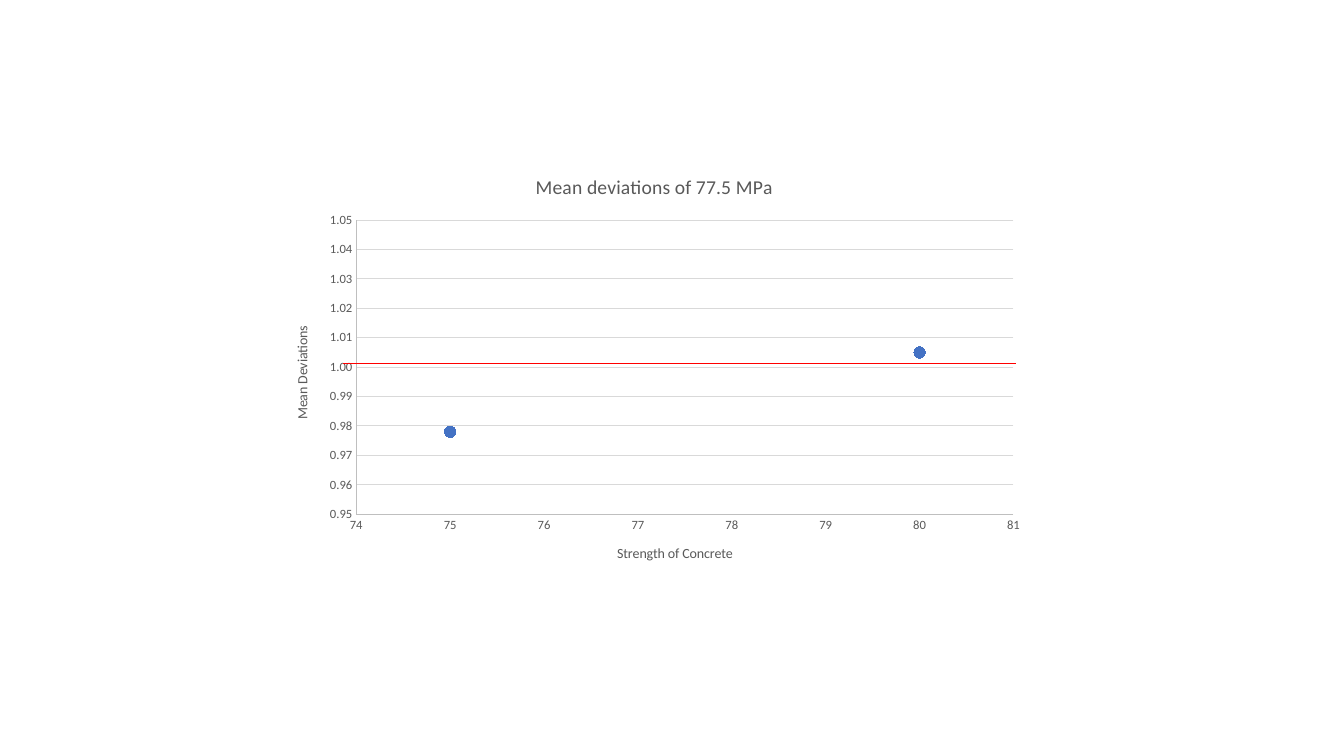
from lxml import etree
from pptx import Presentation
from pptx.chart.data import XyChartData
from pptx.dml.color import RGBColor
from pptx.enum.chart import XL_CHART_TYPE, XL_MARKER_STYLE, XL_TICK_MARK
from pptx.enum.shapes import MSO_CONNECTOR
from pptx.oxml import parse_xml
from pptx.oxml.ns import nsdecls, qn
from pptx.util import Inches, Pt

TEXT_GREY = RGBColor(0x59, 0x59, 0x59)
AXIS_GREY = RGBColor(0xBF, 0xBF, 0xBF)
GRID_GREY = RGBColor(0xD9, 0xD9, 0xD9)
POINT_BLUE = RGBColor(0x44, 0x72, 0xC4)
MEAN_RED = RGBColor(0xFF, 0x00, 0x00)
FONT = "Calibri"
POINTS = [(75, 0.978), (80, 1.005)]


def style_font(font, size):
    """Set the shared chart font at the given size."""
    font.name = FONT
    font.size = Pt(size)
    font.bold = False
    font.color.rgb = TEXT_GREY


def style_line(line, color, width):
    """Give a line its colour and width in points."""
    line.color.rgb = color
    line.width = Pt(width)


def set_title(owner, text, size):
    """Title a chart or an axis."""
    frame = (owner.chart_title if hasattr(owner, "chart_title")
             else owner.axis_title).text_frame
    frame.text = text
    style_font(frame.paragraphs[0].runs[0].font, size)


def style_axis(axis, title, low, high, step, number_format):
    """Set an axis' scale, labels, line and title."""
    axis.minimum_scale, axis.maximum_scale = low, high
    axis.major_unit = step
    axis.major_tick_mark = axis.minor_tick_mark = XL_TICK_MARK.NONE
    axis.tick_labels.number_format = number_format
    axis.tick_labels.number_format_is_linked = False
    style_font(axis.tick_labels.font, 9)
    style_line(axis.format.line, AXIS_GREY, 0.75)
    set_title(axis, title, 10)


def place_plot(chart, x, y, w, h):
    """Fix the inner plot area as fractions of the chart."""
    plot_area = chart.plots[0]._element.getparent()
    for layout in plot_area.findall(qn("c:layout")):
        plot_area.remove(layout)
    plot_area.insert(0, parse_xml(
        f'<c:layout {nsdecls("c")}><c:manualLayout>'
        '<c:layoutTarget val="inner"/><c:xMode val="edge"/><c:yMode val="edge"/>'
        f'<c:x val="{x}"/><c:y val="{y}"/><c:w val="{w}"/><c:h val="{h}"/>'
        '</c:manualLayout></c:layout>'))


def add_deviation_chart(slide):
    """Add the scatter chart of mean deviation against strength."""
    data = XyChartData()
    series_data = data.add_series("Series 1")
    for strength, deviation in POINTS:
        series_data.add_data_point(strength, deviation)
    chart = slide.shapes.add_chart(
        XL_CHART_TYPE.XY_SCATTER, Inches(2.7), Inches(1.55),
        Inches(7.58), Inches(4.23), data).chart
    style_font(chart.font, 10)
    chart.has_legend = False
    set_title(chart, "Mean deviations of 77.5 MPa", 14)
    chart.chart_title.include_in_layout = False

    style_axis(chart.category_axis, "Strength of Concrete", 74, 81, 1, "General")
    style_axis(chart.value_axis, "Mean Deviations", 0.95, 1.05, 0.01, "0.00")
    chart.category_axis.has_major_gridlines = False
    chart.value_axis.has_major_gridlines = True
    style_line(chart.value_axis.major_gridlines.format.line, GRID_GREY, 0.75)
    place_plot(chart, 0.11, 0.15, 0.86, 0.69)

    chart.plots[0].vary_by_categories = False
    series = chart.plots[0].series[0]
    series.smooth = False
    series.format.line.fill.background()
    marker = series.marker
    marker.style = XL_MARKER_STYLE.CIRCLE
    marker.size = 8
    marker.format.fill.solid()
    marker.format.fill.fore_color.rgb = POINT_BLUE
    style_line(marker.format.line, POINT_BLUE, 0.75)


def add_mean_line(slide, left, right, y):
    """Draw the horizontal red reference line."""
    line = slide.shapes.add_connector(
        MSO_CONNECTOR.STRAIGHT, Inches(left), Inches(y), Inches(right), Inches(y))
    style_line(line.line, MEAN_RED, 0.5)
    etree.SubElement(line._element.spPr, qn("a:effectLst"))


def main():
    """Build and save the slide."""
    prs = Presentation()
    prs.slide_width, prs.slide_height = Inches(13.33), Inches(7.5)
    slide = prs.slides.add_slide(prs.slide_layouts[6])
    add_deviation_chart(slide)
    add_mean_line(slide, 3.4, 10.08, 3.6)
    prs.save("out.pptx")


main()
